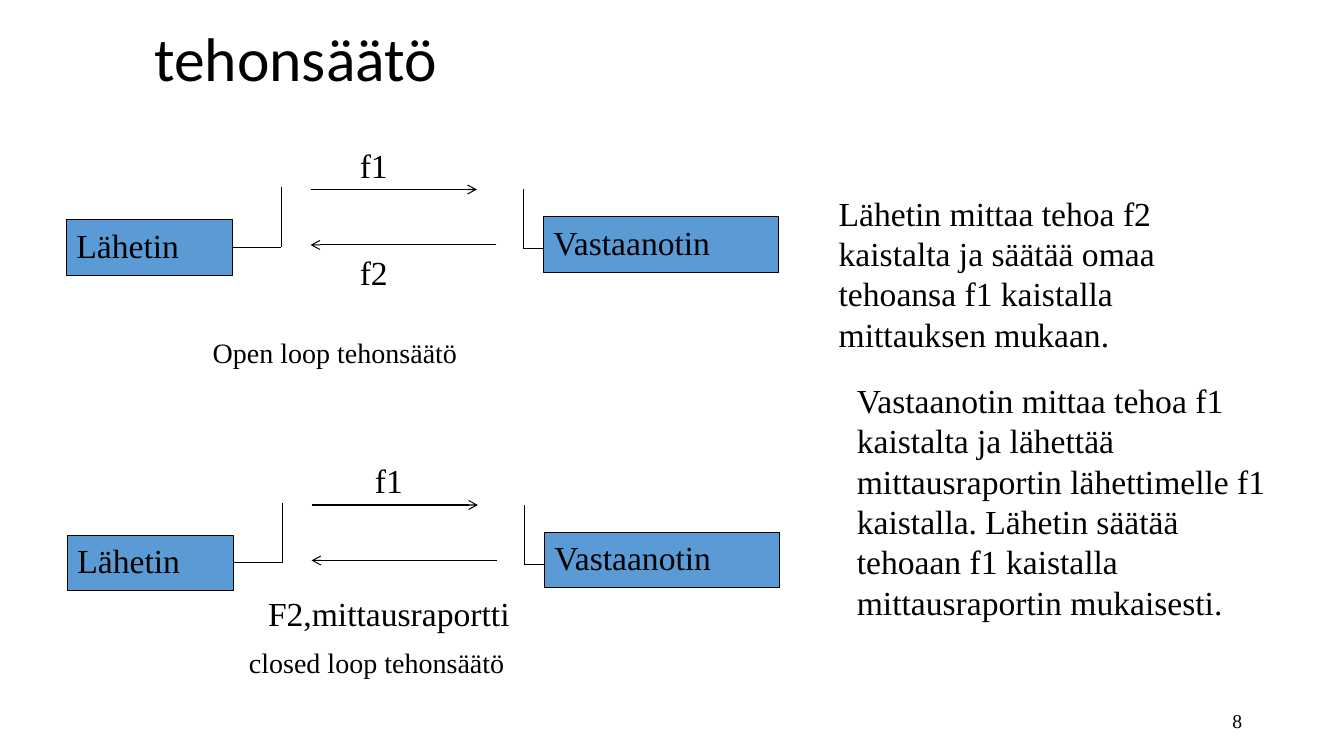
"""Build the slide on open loop and closed loop power control."""
from lxml import etree
from pptx import Presentation
from pptx.dml.color import RGBColor
from pptx.enum.shapes import MSO_CONNECTOR as CONN, MSO_SHAPE as SHAPE
from pptx.enum.text import MSO_ANCHOR as ANCHOR, MSO_AUTO_SIZE as AUTO, PP_ALIGN as ALIGN
from pptx.oxml.ns import qn
from pptx.util import Inches, Pt

TITLE = ("tehonsäätö", (1.43, 0.21, 11.33, 0.8))
BLACK, BLUE = "000000", "5B9BD5"
BODY_FONT = "Times New Roman"

LOOP_ORIGINS = [(0.66, 1.86), (0.67, 4.99)]
BOXES = {"Lähetin": (0, 0.32, 1.65, 0.55), "Vastaanotin": (4.73, 0.29, 2.33, 0.55)}
SENDER_ANTENNA = [(1.65, 0.595), (2.13, 0.595), (2.13, 0)]
RECEIVER_ANTENNA = [(4.73, 0.61), (4.53, 0.61), (4.53, 0.02)]
ARROWS = [((2.42, 0.02), (4.07, 0.02)), ((4.26, 0.57), (2.42, 0.57))]

LABELS = [
    ("f1", (3.47, 1.39, 0.48, 0.5), 24),
    ("f2", (3.47, 2.45, 0.48, 0.5), 24),
    ("Open loop tehonsäätö", (2.01, 3.28, 2.65, 0.44), 20),
    ("f1", (3.62, 4.51, 0.48, 0.5), 24),
    ("F2,mittausraportti", (2.56, 5.83, 2.62, 0.5), 24),
    ("closed loop tehonsäätö", (2.37, 6.35, 2.75, 0.44), 20),
]
EXPLANATIONS = [
    ("Lähetin mittaa tehoa f2 kaistalta ja säätää omaa tehoansa f1 kaistalla "
     "mittauksen mukaan.", (8.22, 1.86, 4.36, 1.72)),
    ("Vastaanotin mittaa tehoa f1 kaistalta ja lähettää mittausraportin "
     "lähettimelle f1 kaistalla. Lähetin säätää tehoaan f1 kaistalla "
     "mittausraportin mukaisesti.", (8.4, 3.72, 4.36, 2.52)),
]
PAGE_NUMBER = ("8", (9.42, 6.95, 3, 0.4))


def rgb(color):
    return RGBColor.from_string(color)


def inches(values):
    return [Inches(v) for v in values]


def write(sp, text, size=24, font=BODY_FONT, align=ALIGN.LEFT, **frame):
    tf = sp.text_frame
    for name, value in frame.items():
        setattr(tf, name, value)
    p = tf.paragraphs[0]
    p.alignment = align
    r = p.add_run()
    r.text = text
    for name, value in {"name": font, "size": Pt(size)}.items():
        setattr(r.font, name, value)
    r.font.color.rgb = rgb(BLACK)
    return p


def add_text(s, text, place, size=24, **formats):
    return write(s.shapes.add_textbox(*inches(place)), text, size, **formats)


def add_box(s, text, place):
    sp = s.shapes.add_shape(SHAPE.RECTANGLE, *inches(place))
    sp.shadow.inherit = False
    sp.fill.solid()
    sp.fill.fore_color.rgb = rgb(BLUE)
    sp.line.color.rgb = rgb(BLACK)
    sp.line.width = Pt(0.75)
    write(sp, text, vertical_anchor=ANCHOR.TOP, word_wrap=True)
    return sp


def add_line(s, start, end, arrow=False):
    line = s.shapes.add_connector(CONN.STRAIGHT, *inches(start + end))
    line.line.color.rgb = rgb(BLACK)
    line.line.width = Pt(0.75)
    if arrow:
        etree.SubElement(line.line._get_or_add_ln(), qn("a:tailEnd"), type="arrow")
    etree.SubElement(line._element.spPr, qn("a:effectLst"))
    return line


def add_loop(s, x, y):
    def shift(point):
        return x + point[0], y + point[1]

    sender, _ = [add_box(s, text, shift(place) + place[2:]) for text, place in BOXES.items()]
    for foot, corner, tip in (SENDER_ANTENNA, RECEIVER_ANTENNA):
        wire = add_line(s, shift(foot), shift(corner))
        if foot == SENDER_ANTENNA[0]:
            wire.begin_connect(sender, 3)
        add_line(s, shift(corner), shift(tip))
    for start, end in ARROWS:
        add_line(s, shift(start), shift(end), arrow=True)


def main():
    prs = Presentation()
    prs.slide_width, prs.slide_height = inches((13.33, 7.5))
    s = prs.slides.add_slide(prs.slide_layouts[5])
    text, place = TITLE
    title = s.shapes.title
    for name, value in zip(("left", "top", "width", "height"), inches(place)):
        setattr(title, name, value)
    p = write(title, text, 44, "Calibri", vertical_anchor=ANCHOR.MIDDLE)
    p.line_spacing = 0.9

    for origin in LOOP_ORIGINS:
        add_loop(s, *origin)
    for label in LABELS:
        add_text(s, *label, word_wrap=False, auto_size=AUTO.SHAPE_TO_FIT_TEXT)
    for explanation in EXPLANATIONS:
        add_text(s, *explanation, word_wrap=True, auto_size=AUTO.SHAPE_TO_FIT_TEXT)
    add_text(s, *PAGE_NUMBER, size=14, align=ALIGN.RIGHT, word_wrap=True,
             vertical_anchor=ANCHOR.MIDDLE)
    prs.save("out.pptx")


if __name__ == "__main__":
    main()
